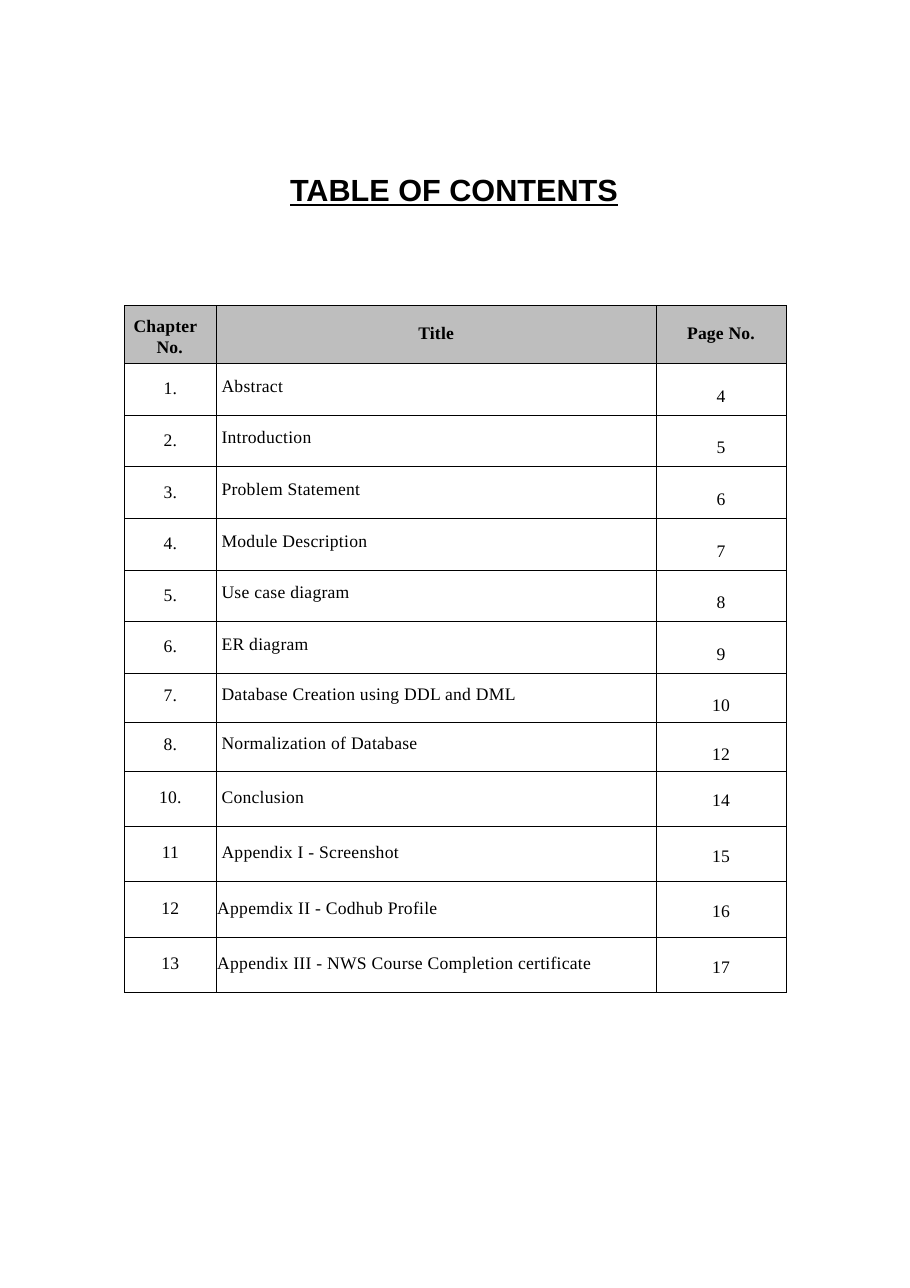
from dataclasses import dataclass

from lxml import etree
from pptx import Presentation
from pptx.dml.color import RGBColor
from pptx.enum.text import MSO_ANCHOR, MSO_AUTO_SIZE, PP_ALIGN
from pptx.oxml.ns import qn
from pptx.util import Cm, Pt

LEFT, CENTER = PP_ALIGN.LEFT, PP_ALIGN.CENTER
TOP = MSO_ANCHOR.TOP
NO_AUTOSIZE = MSO_AUTO_SIZE.NONE

HEADING = "TABLE OF CONTENTS"
HEADER = ("Chapter No.", "Title", "Page No.")
CHAPTERS = [
    ("1.", "Abstract", "4"),
    ("2.", "Introduction", "5"),
    ("3.", "Problem Statement", "6"),
    ("4.", "Module Description", "7"),
    ("5.", "Use case diagram", "8"),
    ("6.", "ER diagram", "9"),
    ("7.", "Database Creation using DDL and DML", "10"),
    ("8.", "Normalization of Database", "12"),
    ("10.", "Conclusion", "14"),
    ("11", "Appendix I - Screenshot", "15"),
    ("12", "Appemdix II - Codhub Profile", "16"),
    ("13", "Appendix III - NWS Course Completion certificate", "17"),
]


@dataclass(frozen=True)
class Theme:
    ink: str = "000000"
    header_fill: str = "BEBEBE"
    heading_font: str = "Arial"
    body_font: str = "Times New Roman"
    heading_size: float = 20
    body_size: float = 11.5
    header_leading: float = 13.7
    border: float = 0.5


THEME = Theme()
COLUMN_WIDTHS = (2.12, 10.14, 3)
HEADER_HEIGHT = 1.34
HEADER_INSETS = (0.22, 0.43, 0.43)
ROW_GROUPS = [
    (6, 1.19, (0.36, 0.3, 0.53)),
    (2, 1.13, (0.29, 0.27, 0.53)),
    (4, 1.28, (0.38, 0.38, 0.46)),
]
TITLE_INDENT, APPENDIX_INDENT = 0.12, 0.02


def write(tf, text, font=THEME.body_font, size=THEME.body_size, bold=False,
          underline=False, align=LEFT, tracking=0):
    p = tf.paragraphs[0]
    p.alignment = align
    r = p.add_run()
    r.text = text
    r.font.name = font
    r.font.size = Pt(size)
    r.font.bold = bold
    r.font.underline = underline
    r.font.color.rgb = RGBColor.from_string(THEME.ink)
    r._r.get_or_add_rPr().set("spc", str(tracking))
    return p


def set_insets(target, left=0, top=0):
    target.margin_left, target.margin_top = Cm(left), Cm(top)
    target.margin_right = target.margin_bottom = 0
    target.vertical_anchor = TOP


def add_borders(cell):
    tc_pr = cell._tc.get_or_add_tcPr()
    for side in ("lnL", "lnR", "lnT", "lnB"):
        ln = etree.SubElement(tc_pr, qn(f"a:{side}"), w=str(Pt(THEME.border)))
        fill = etree.SubElement(ln, qn("a:solidFill"))
        etree.SubElement(fill, qn("a:srgbClr"), val=THEME.ink)


def add_heading(s):
    sp = s.shapes.title
    sp.left, sp.top, sp.width, sp.height = Cm(6.66), Cm(3.9), Cm(7.7), Cm(0.91)
    tf = sp.text_frame
    tf.word_wrap = True
    tf.auto_size = NO_AUTOSIZE
    set_insets(tf, left=0.03, top=0.05)
    write(tf, HEADING, font=THEME.heading_font, size=THEME.heading_size,
          bold=True, underline=True)


def add_contents(s):
    layout = [(HEADER_HEIGHT, HEADER_INSETS)]
    for count, height, insets in ROW_GROUPS:
        layout += [(height, insets)] * count
    rows = [HEADER] + CHAPTERS
    frame = s.shapes.add_table(len(rows), len(HEADER), Cm(2.87), Cm(7.05),
                               Cm(sum(COLUMN_WIDTHS)),
                               Cm(sum(height for height, _ in layout)))
    table = frame.table
    table.first_row = table.horz_banding = False
    for column, width in zip(table.columns, COLUMN_WIDTHS):
        column.width = Cm(width)
    for i, (texts, (height, insets)) in enumerate(zip(rows, layout)):
        table.rows[i].height = Cm(height)
        for j, (text, inset) in enumerate(zip(texts, insets)):
            cell = table.cell(i, j)
            is_header = i == 0
            is_entry = j == 1 and not is_header
            indent = 0
            if is_entry:
                indent = APPENDIX_INDENT if i >= len(rows) - 2 else TITLE_INDENT
            set_insets(cell, left=indent, top=inset)
            add_borders(cell)
            if is_header:
                cell.fill.solid()
                cell.fill.fore_color.rgb = RGBColor.from_string(THEME.header_fill)
            else:
                cell.fill.background()
            hanging = is_header and j == 0
            p = write(cell.text_frame, text, bold=is_header,
                      align=LEFT if is_entry or hanging else CENTER,
                      tracking=18 if is_entry else 10)
            if hanging:
                p.line_spacing = Pt(THEME.header_leading)
                p_pr = p._p.get_or_add_pPr()
                p_pr.set("marL", str(Cm(0.74)))
                p_pr.set("indent", str(Cm(-0.53)))


def main():
    prs = Presentation()
    prs.slide_width, prs.slide_height = Cm(20.99), Cm(29.72)
    s = prs.slides.add_slide(prs.slide_layouts[5])
    add_heading(s)
    add_contents(s)
    prs.save("out.pptx")


if __name__ == "__main__":
    main()
